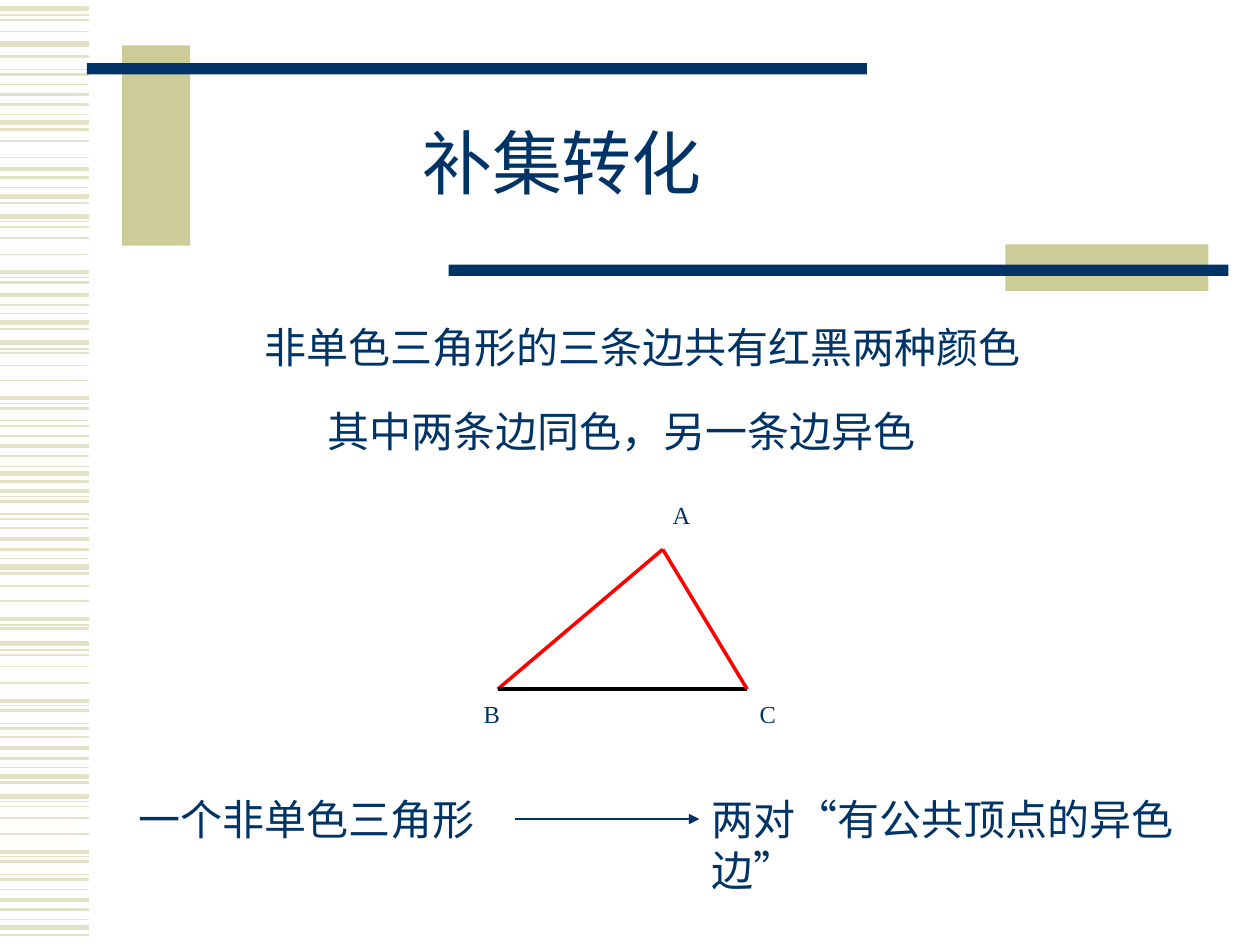
from lxml.etree import SubElement as Sub
from pptx import Presentation
from pptx.dml.color import RGBColor
from pptx.enum.shapes import MSO_CONNECTOR as Conn, MSO_SHAPE as Kind
from pptx.enum.text import MSO_ANCHOR as Anchor, MSO_AUTO_SIZE as Fit, PP_ALIGN as Align
from pptx.oxml.ns import qn
from pptx.util import Pt

PX = 9144
FONT = "Times New Roman"
NAVY, SAND, PALE = "003366", "CCCC99", "E3E2C7"
RED, BLACK, WHITE = "FF0000", "000000", "FFFFFF"

STRIPES = {
    0.75: [12, 55, 91, 149, 176, 220, 249, 277, 320, 334, 370, 394, 408, 443, 496,
           516, 560, 574, 609, 636, 680, 694, 730],
    1: [16, 25, 67, 112, 125, 180, 189, 202, 280, 290, 302, 346, 419, 465, 477,
        520, 529, 542, 585, 640, 649, 662, 706],
    1.5: [45, 59, 83, 103, 141, 161, 224, 242, 261, 324, 338, 362, 382, 398, 412,
          436, 455, 499, 564, 578, 602, 621, 684, 698, 722, 742],
    2.25: [75, 134, 216, 234, 316, 354, 390, 428, 491, 556, 594, 676, 714],
    3: [7, 35, 97, 156, 172, 256, 272, 376, 450, 511, 616, 632, 736],
}
BARS = [
    (97, 36, 54, 159, SAND),
    (69, 50, 619, 9, NAVY),
    (798, 194, 161, 37, SAND),
    (356, 210, 619, 9, NAVY),
]
TITLE = ("补集转化", (317, 100, 258, 67))
TEXTS = [
    ("非单色三角形的三条边共有红黑两种颜色", (200, 250, 625, 50), Align.JUSTIFY),
    ("其中两条边同色，另一条边异色", (250, 317, 525, 50), Align.JUSTIFY),
    ("一个非单色三角形", (100, 625, 309, 50), Align.LEFT),
    ("两对“有公共顶点的异色边”", (555, 625, 420, 90), Align.LEFT),
]
TIPS = {"A": (526, 436), "B": (395, 547), "C": (593, 547)}
SIDES = [("A", "B", RED), ("B", "C", BLACK), ("A", "C", RED)]
LABELS = {"A": (524, 392), "B": (374, 550), "C": (593, 550)}
ARROW = ((409, 650), (555, 650))


def color(code):
    return RGBColor.from_string(code)


def emu(*vals):
    return [v * PX for v in vals]


def line(start, end, code, width):
    item = slide.shapes.add_connector(Conn.STRAIGHT, *emu(*start, *end))
    item.line.color.rgb = color(code)
    item.line.width = Pt(width)
    Sub(item._element.spPr, qn("a:effectLst"))
    return item


def write(shape, text, size, align):
    frame = shape.text_frame
    frame.word_wrap = True
    frame.text = text
    para = frame.paragraphs[0]
    para.alignment = align
    para.font.size = Pt(size)
    para.font.name = FONT
    para.font.color.rgb = color(NAVY)
    return frame


def box(text, spot, size, align):
    shape = slide.shapes.add_textbox(*emu(*spot))
    write(shape, text, size, align)
    return shape


deck = Presentation()
deck.slide_width, deck.slide_height = emu(1000, 750)
slide = deck.slides.add_slide(deck.slide_layouts[5])

for width, rows in STRIPES.items():
    for y in rows:
        line((0, y), (71, y), PALE, width)

for *spot, code in BARS:
    bar = slide.shapes.add_shape(Kind.RECTANGLE, *emu(*spot))
    bar.shadow.inherit = False
    bar.fill.solid()
    bar.fill.fore_color.rgb = color(code)
    bar.line.fill.background()

text, spot = TITLE
title = slide.shapes.title
title.left, title.top, title.width, title.height = emu(*spot)
frame = write(title, text, 40, Align.CENTER)
frame.vertical_anchor = Anchor.MIDDLE
frame.auto_size = Fit.NONE
frame.paragraphs[0].line_spacing = 0.85

for text, spot, align in TEXTS:
    box(text, spot, 24, align)

for name, spot in LABELS.items():
    label = box(name, (*spot, 66, 42), 14, Align.JUSTIFY)
    label.fill.solid()
    label.fill.fore_color.rgb = color(WHITE)

for start, end, code in SIDES:
    line(TIPS[start], TIPS[end], code, 2)

arrow = line(*ARROW, NAVY, 1.25)
Sub(arrow.line._get_or_add_ln(), qn("a:tailEnd"), type="triangle")

deck.save("out.pptx")
